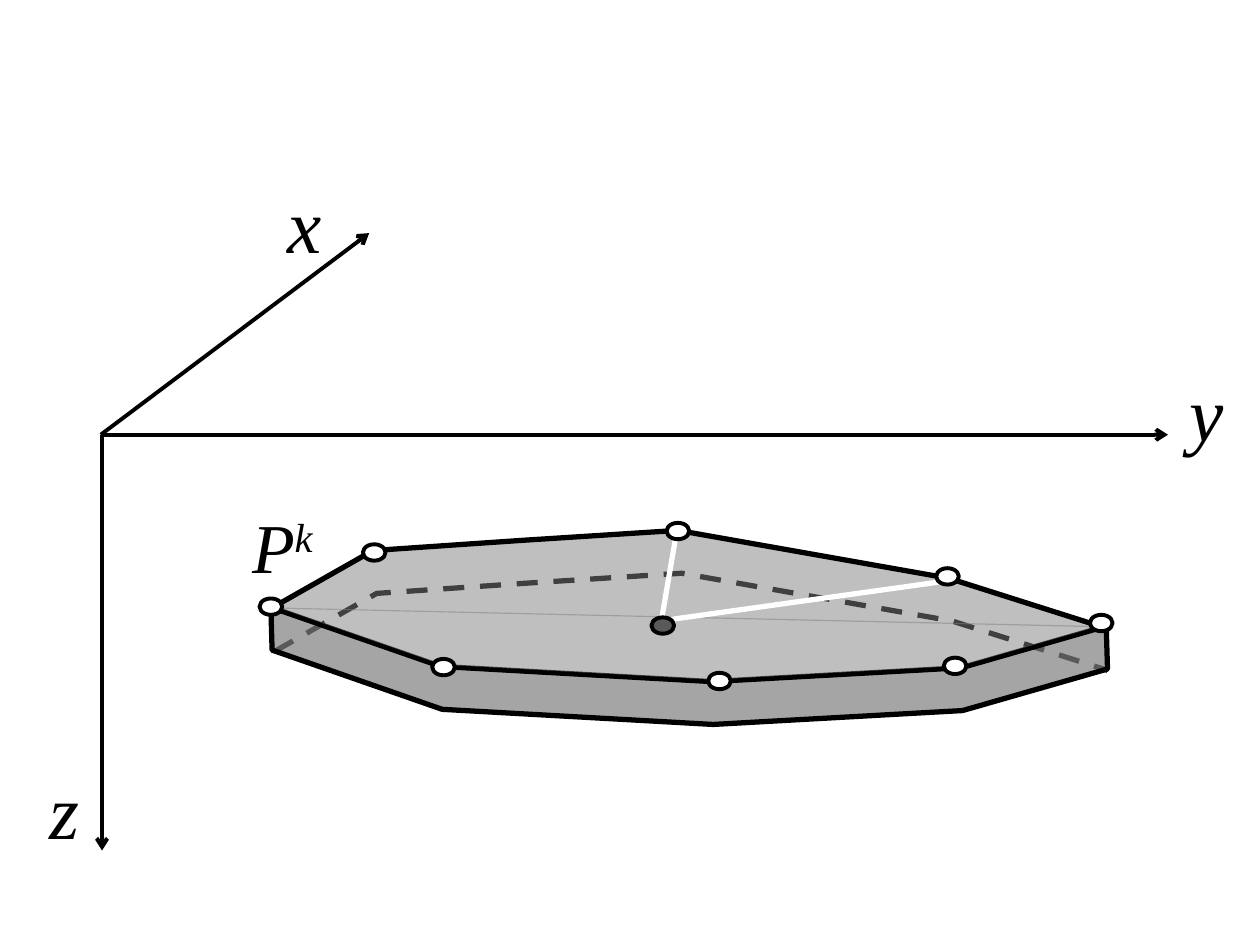
"""Build a slide showing polygonal plate P^k in an x, y, z axis system."""
import pptx
import pptx.dml.color
import pptx.enum.dml
import pptx.enum.shapes
import pptx.enum.text
import pptx.oxml
import pptx.oxml.ns
import pptx.util

Inches = pptx.util.Inches
Pt = pptx.util.Pt
BLACK = pptx.dml.color.RGBColor(0x00, 0x00, 0x00)
WHITE = pptx.dml.color.RGBColor(0xFF, 0xFF, 0xFF)
GRAY = pptx.dml.color.RGBColor(0x80, 0x80, 0x80)
DARK_GRAY = pptx.dml.color.RGBColor(0x59, 0x59, 0x59)

FONT = "Times New Roman"
BACK_RIM = [(2.15, 4.83), (2.96, 4.37), (4.13, 4.29), (5.38, 4.21), (7.53, 4.59), (8.76, 4.98)]
FRONT_RIM = [(2.15, 4.82), (3.5, 5.29), (5.65, 5.41), (7.63, 5.3), (8.78, 4.97)]
BACK_DROP = (0.03, 0.34)
FRONT_DROP = (0.01, 0.34)

AXES = [((0.81, 3.45), (0.81, 6.75)), ((0.8, 3.45), (2.93, 1.85)), ((0.8, 3.45), (9.27, 3.45))]
SPOKES = [((5.25, 4.92), (5.36, 4.28)), ((5.3, 4.92), (7.45, 4.62))]
NODE_SIZE = (0.18, 0.13)
CENTER = (5.17, 4.9)
NODES = [(2.06, 4.75), (2.88, 4.32), (5.29, 4.15), (7.43, 4.51),
         (8.65, 4.88), (7.49, 5.22), (5.62, 5.34), (3.43, 5.23)]
LABELS = [
    ("x", "", 44, (2.26, 1.39, 1.53, 0.76)),
    ("z", "", 44, (0.37, 6.04, 1.53, 0.76)),
    ("y", "", 44, (9.42, 2.88, 0.62, 0.76)),
    ("P", "k", 40, (1.98, 3.99, 0.82, 0.7)),
]


def inches(values):
    return [Inches(value) for value in values]


def shifted(points, offset):
    return [(x + offset[0], y + offset[1]) for x, y in points]


def add_child(parent, tag, **attributes):
    child = pptx.oxml.parse_xml(f"<a:{tag} {pptx.oxml.ns.nsdecls('a')}/>")
    for key, value in attributes.items():
        child.set(key, value)
    parent.append(child)


def style_line(line, color, width):
    line.color.rgb = color
    line.width = Pt(width)


def add_outline(slide, points, width=3, opacity=None, close=False):
    start, *others = [inches(point) for point in points]
    builder = slide.shapes.build_freeform(*start)
    builder.add_line_segments(others, close=close)
    outline = builder.convert_to_shape()
    outline.shadow.inherit = False
    style_line(outline.line, BLACK, width)
    if opacity is None:
        outline.fill.background()
    else:
        outline.fill.solid()
        outline.fill.fore_color.rgb = GRAY
        color = outline.fill._xPr.find(".//" + pptx.oxml.ns.qn("a:srgbClr"))
        add_child(color, "alpha", val=str(opacity * 1000))
    return outline


def add_line(slide, start, end, color, width, arrow=False):
    connector = slide.shapes.add_connector(
        pptx.enum.shapes.MSO_CONNECTOR.STRAIGHT, *inches(start + end))
    style_line(connector.line, color, width)
    if arrow:
        add_child(connector.line._get_or_add_ln(), "tailEnd", type="arrow")
    add_child(connector._element.spPr, "effectLst")


def add_node(slide, corner, color):
    node = slide.shapes.add_shape(
        pptx.enum.shapes.MSO_SHAPE.OVAL, *inches(corner + NODE_SIZE))
    node.shadow.inherit = False
    node.fill.solid()
    node.fill.fore_color.rgb = color
    style_line(node.line, BLACK, 2.25)


def add_label(slide, letter, superscript, size, box):
    frame = slide.shapes.add_textbox(*inches(box)).text_frame
    frame.word_wrap = True
    frame.auto_size = pptx.enum.text.MSO_AUTO_SIZE.SHAPE_TO_FIT_TEXT
    frame.margin_left = frame.margin_right = Inches(0.02)
    frame.margin_top = frame.margin_bottom = Inches(0.01)
    paragraph = frame.paragraphs[0]
    paragraph.text = letter
    if superscript:
        exponent = paragraph.add_run()
        exponent.text = superscript
        exponent.font._element.set("baseline", "30000")
    for run in paragraph.runs:
        run.font.name = FONT
        run.font.size = Pt(size)
        run.font.italic = True
        run.font.color.rgb = BLACK


def main():
    presentation = pptx.Presentation()
    presentation.slide_width = Inches(10)
    presentation.slide_height = Inches(7.5)
    slide = presentation.slides.add_slide(presentation.slide_layouts[6])

    hidden_edge = add_outline(slide, shifted(BACK_RIM, BACK_DROP))
    hidden_edge.line.dash_style = pptx.enum.dml.MSO_LINE.DASH
    add_outline(slide, BACK_RIM, opacity=50)
    front_wall = FRONT_RIM[::-1] + shifted(FRONT_RIM, FRONT_DROP)
    add_outline(slide, front_wall, opacity=70, close=True)
    add_outline(slide, FRONT_RIM, width=2.25, opacity=50)

    for start, end in AXES:
        add_line(slide, start, end, BLACK, 2.25, arrow=True)
    for start, end in SPOKES:
        add_line(slide, start, end, WHITE, 3)
    add_node(slide, CENTER, DARK_GRAY)
    for corner in NODES:
        add_node(slide, corner, WHITE)
    for label in LABELS:
        add_label(slide, *label)
    presentation.save("out.pptx")


if __name__ == "__main__":
    main()
